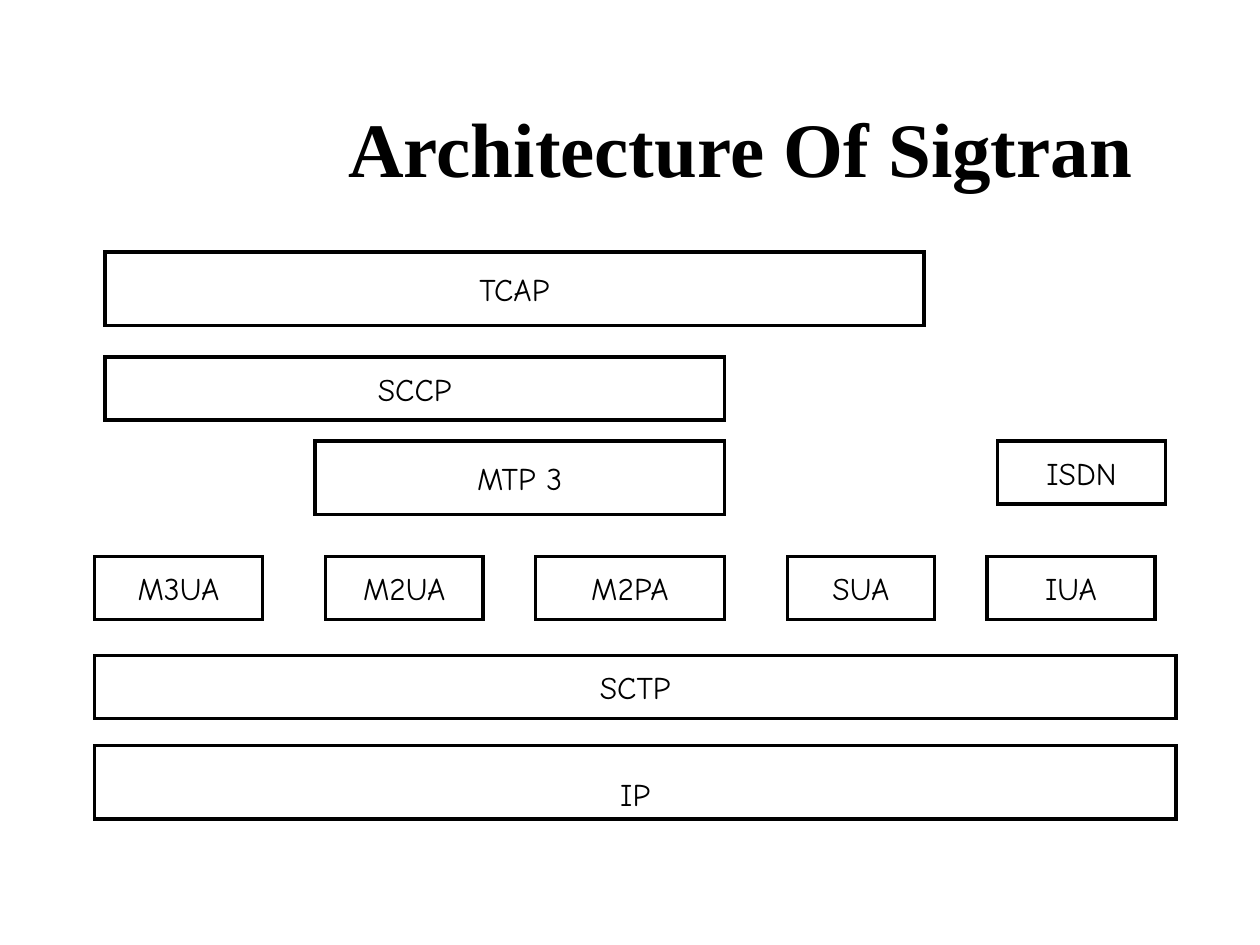
"""Build the Sigtran architecture slide as a stack of protocol layers."""
from lxml.etree import SubElement
from pptx import Presentation
from pptx.dml.color import RGBColor
from pptx.enum.shapes import MSO_SHAPE
from pptx.enum.text import MSO_ANCHOR, PP_ALIGN
from pptx.oxml.ns import qn
from pptx.util import Pt

BLACK = RGBColor(0, 0, 0)
WHITE = RGBColor(255, 255, 255)
TITLE = "Architecture Of Sigtran"
TALL, SHORT = 42, 36

LAYERS = [
    (144, [("TCAP", 60, 468, TALL)]),
    (204, [("SCCP", 60, 354, SHORT)]),
    (252, [("MTP 3", 180, 234, TALL), ("ISDN", 570, 96, SHORT)]),
    (318, [
        ("M3UA", 54, 96, SHORT),
        ("M2UA", 186, 90, SHORT),
        ("M2PA", 306, 108, SHORT),
        ("SUA", 450, 84, SHORT),
        ("IUA", 564, 96, SHORT),
    ]),
    (374.5, [("SCTP", 54, 618, SHORT)]),
    (426, [("IP", 54, 618, TALL)]),
]
BOTTOM_ANCHORED = {"IP"}


def format_text(paragraph, font_name, size, bold=False):
    for run in paragraph.runs:
        run.font.name = font_name
        run.font.size = Pt(size)
        run.font.bold = bold
        run.font.color.rgb = BLACK


def add_protocol(slide, name, left, top, width, height):
    shape = slide.shapes.add_shape(
        MSO_SHAPE.RECTANGLE, Pt(left), Pt(top), Pt(width), Pt(height))
    shape.shadow.inherit = False
    shape.fill.solid()
    shape.fill.fore_color.rgb = WHITE
    shape.line.color.rgb = BLACK
    shape.line.width = Pt(2)
    outline = shape.element.spPr.find(qn("a:ln"))
    SubElement(outline, qn("a:miter"), lim="800000")
    text_frame = shape.text_frame
    text_frame.text = name
    text_frame.vertical_anchor = (
        MSO_ANCHOR.BOTTOM if name in BOTTOM_ANCHORED else MSO_ANCHOR.MIDDLE)
    paragraph = text_frame.paragraphs[0]
    paragraph.alignment = PP_ALIGN.CENTER
    format_text(paragraph, "Comic Neue", 18)


def add_title(slide):
    text_box = slide.shapes.add_textbox(Pt(192), Pt(54), Pt(504), Pt(58))
    text_frame = text_box.text_frame
    text_frame.word_wrap = True
    text_frame.text = TITLE
    format_text(text_frame.paragraphs[0], "Times New Roman", 44, bold=True)


def main():
    presentation = Presentation()
    presentation.slide_width, presentation.slide_height = Pt(720), Pt(540)
    slide = presentation.slides.add_slide(presentation.slide_layouts[6])
    for top, protocols in LAYERS:
        for name, left, width, height in protocols:
            add_protocol(slide, name, left, top, width, height)
    add_title(slide)
    presentation.save("out.pptx")


if __name__ == "__main__":
    main()
